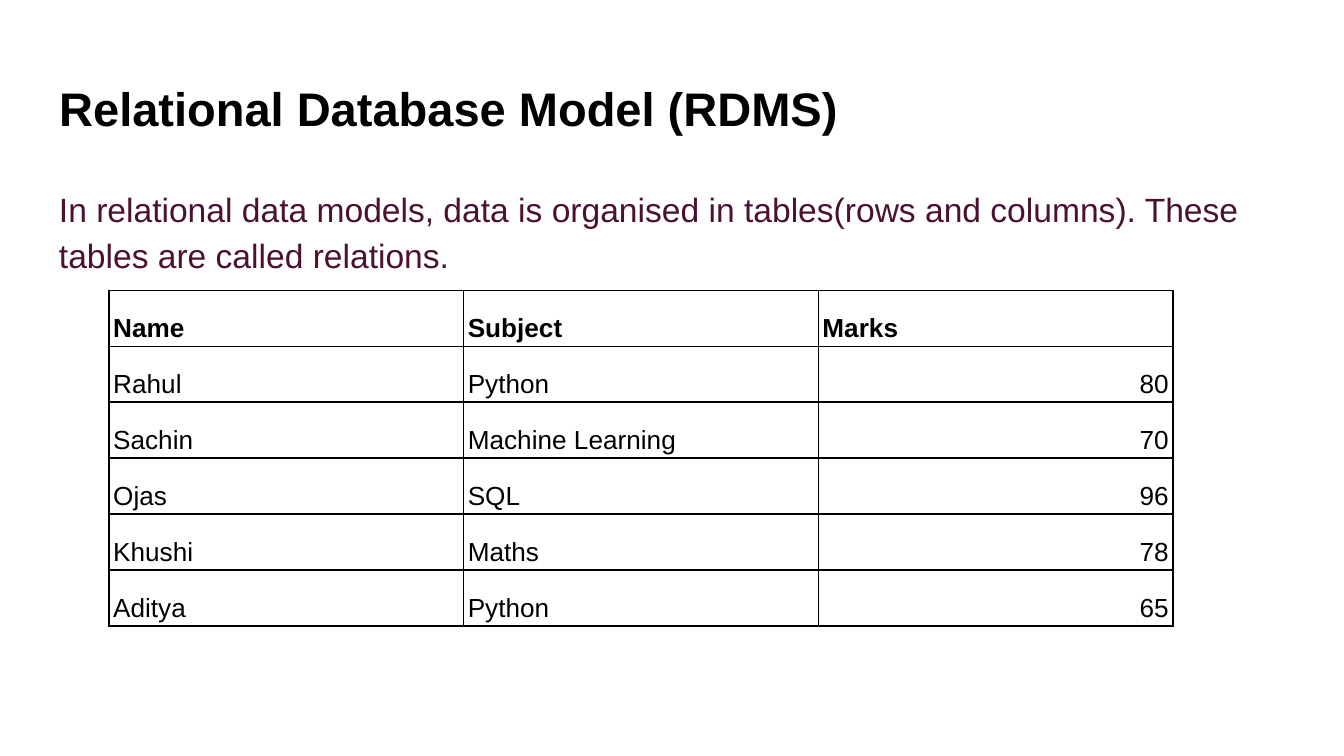
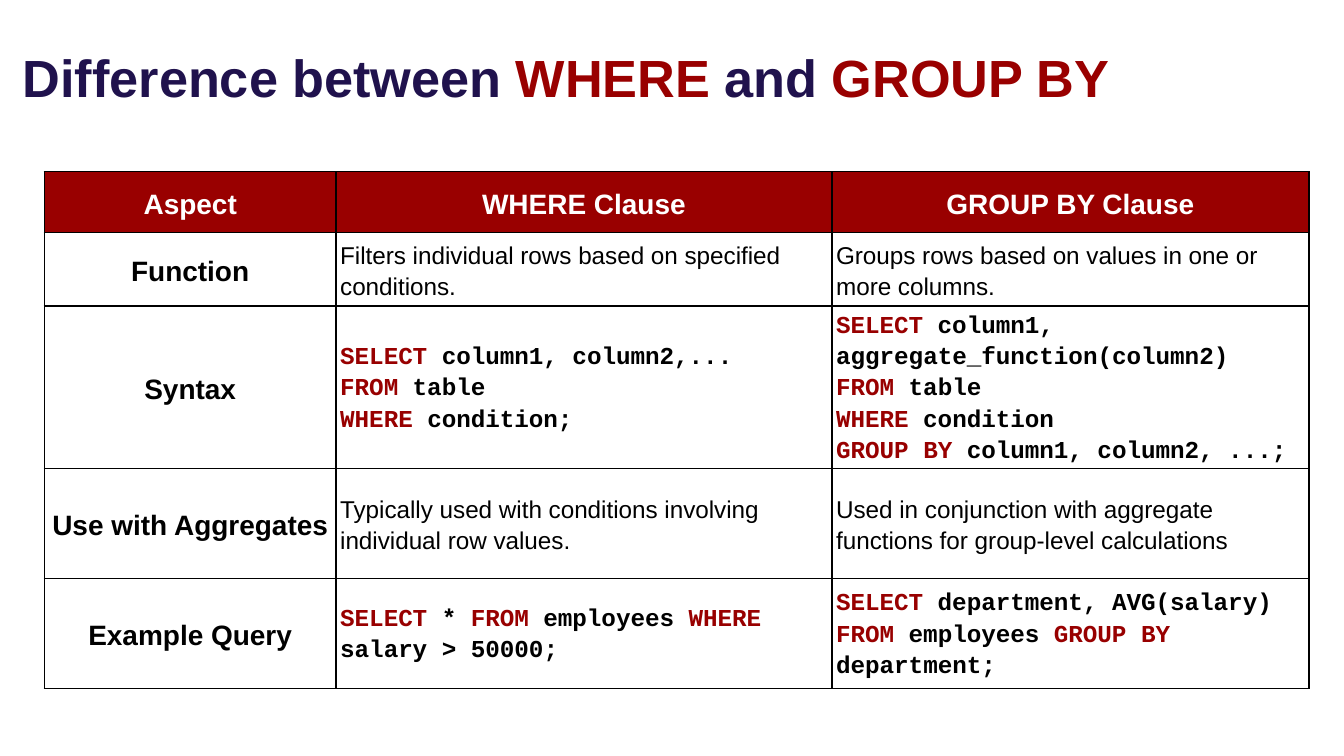
from dataclasses import dataclass, replace

from lxml import etree
from pptx import Presentation
from pptx.dml.color import RGBColor
from pptx.enum import text
from pptx.oxml import ns
from pptx.util import Pt

BLACK, WHITE, RED, CODE_RED = "000000", "FFFFFF", "990000", "980000"
NAVY, PLUM = "20124D", "4C1130"
LEFT, CENTER, RIGHT = text.PP_ALIGN.LEFT, text.PP_ALIGN.CENTER, text.PP_ALIGN.RIGHT
TOP, MIDDLE, BOTTOM = text.MSO_ANCHOR.TOP, text.MSO_ANCHOR.MIDDLE, text.MSO_ANCHOR.BOTTOM
TITLE_ONLY = 5
BOX_INSET = 7.2
BORDER_WIDTH = 0.94


@dataclass(frozen=True)
class Style:
    size: float
    color: str = BLACK
    bold: bool = False
    font: str = "Arial"
    accent: str = RED
    align: text.PP_ALIGN = LEFT
    spacing: float = 1.15


@dataclass(frozen=True)
class Cell:
    text: str
    style: Style
    fill: str | None = None


@dataclass(frozen=True)
class Grid:
    left: float
    top: float
    widths: list[float]
    heights: list[float]
    anchor: text.MSO_ANCHOR
    rows: list[list[Cell]]


def rgb(value: str) -> RGBColor:
    return RGBColor.from_string(value)


def write(tf, content: str, style: Style) -> None:
    """Fill a text frame; parts between bars take the accent colour."""
    for i, line in enumerate(content.split("\n")):
        p = tf.add_paragraph() if i else tf.paragraphs[0]
        p.alignment = style.align
        p.line_spacing = style.spacing
        for j, part in enumerate(line.split("|")):
            if not part:
                continue
            r = p.add_run()
            r.text = part
            r.font.name = style.font
            r.font.size = Pt(style.size)
            r.font.bold = style.bold
            r.font.color.rgb = rgb(style.accent if j % 2 else style.color)


def write_box(sp, box: tuple, content: str, style: Style, anchor) -> None:
    sp.left, sp.top, sp.width, sp.height = (Pt(v) for v in box)
    tf = sp.text_frame
    tf.word_wrap = True
    tf.auto_size = text.MSO_AUTO_SIZE.NONE
    tf.vertical_anchor = anchor
    tf.margin_left = tf.margin_right = tf.margin_top = tf.margin_bottom = Pt(BOX_INSET)
    write(tf, content, style)


def add_titled_slide(prs, title: str, box: tuple, style: Style):
    slide = prs.slides.add_slide(prs.slide_layouts[TITLE_ONLY])
    write_box(slide.shapes.title, box, title, style, MIDDLE)
    return slide


def add_borders(cell) -> None:
    tc_pr = cell._tc.get_or_add_tcPr()
    for side in ("lnL", "lnR", "lnT", "lnB"):
        line = etree.SubElement(tc_pr, ns.qn(f"a:{side}"), w=str(Pt(BORDER_WIDTH)))
        fill = etree.SubElement(line, ns.qn("a:solidFill"))
        etree.SubElement(fill, ns.qn("a:srgbClr"), val=BLACK)


def add_grid(slide, grid: Grid) -> None:
    frame = slide.shapes.add_table(
        len(grid.heights), len(grid.widths), Pt(grid.left), Pt(grid.top),
        Pt(sum(grid.widths)), Pt(sum(grid.heights)))
    table = frame.table
    table.first_row = table.horz_banding = False
    for column, width in zip(table.columns, grid.widths):
        column.width = Pt(width)
    for row, height, items in zip(table.rows, grid.heights, grid.rows):
        row.height = Pt(height)
        for cell, item in zip(row.cells, items):
            cell.margin_left = cell.margin_right = Pt(2.25)
            cell.margin_top = cell.margin_bottom = Pt(1.5)
            cell.vertical_anchor = grid.anchor
            add_borders(cell)
            if item.fill:
                cell.fill.solid()
                cell.fill.fore_color.rgb = rgb(item.fill)
            else:
                cell.fill.background()
            write(cell.text_frame, item.text, item.style)


def add_relational_model(prs) -> None:
    slide = add_titled_slide(prs, "Relational Database Model (RDMS)", (24.5, 35, 671, 45.4),
                             Style(25.2, bold=True, spacing=1))
    intro = ("In relational data models, data is organised in tables(rows and columns). "
             "These tables are called relations.")
    write_box(slide.shapes.add_textbox(0, 0, 0, 0), (24.5, 90.7, 671, 269.3),
              intro, Style(18, PLUM), TOP)

    plain = Style(14)
    head = replace(plain, bold=True)
    number = replace(plain, align=RIGHT)
    marks = [("Rahul", "Python", "80"), ("Sachin", "Machine Learning", "70"),
             ("Ojas", "SQL", "96"), ("Khushi", "Maths", "78"), ("Aditya", "Python", "65")]
    rows = [[Cell(name, head) for name in ("Name", "Subject", "Marks")]]
    rows += [[Cell(name, plain), Cell(subject, plain), Cell(mark, number)]
             for name, subject, mark in marks]
    add_grid(slide, Grid(58.4, 155.5, [190] * 3, [30] * len(rows), BOTTOM, rows))


def add_clause_comparison(prs) -> None:
    slide = add_titled_slide(prs, "Difference between |WHERE| and |GROUP BY|",
                             (5, 15, 677.5, 52),
                             Style(28, NAVY, bold=True, spacing=1))
    aspect = Style(15, bold=True, align=CENTER)
    head = replace(aspect, color=WHITE)
    prose = Style(13)
    code = Style(13, bold=True, font="Courier New", accent=CODE_RED)
    comparison = [
        ("Function", prose,
         "Filters individual rows based on specified conditions.",
         "Groups rows based on values in one or more columns."),
        ("Syntax", code,
         "|SELECT| column1, column2,...\n|FROM| table\n|WHERE| condition;",
         "|SELECT| column1, aggregate_function(column2)\n|FROM| table\n"
         "|WHERE| condition\n|GROUP BY| column1, column2, ...;"),
        ("Use with Aggregates", prose,
         "Typically used with conditions involving individual row values.",
         "Used in conjunction with aggregate functions for group-level calculations"),
        ("Example Query", code,
         "|SELECT| * |FROM| employees |WHERE| salary > 50000;",
         "|SELECT| department, AVG(salary) |FROM| employees |GROUP BY| department;"),
    ]
    rows = [[Cell(name, head, RED) for name in ("Aspect", "WHERE Clause", "GROUP BY Clause")]]
    rows += [[Cell(name, aspect), Cell(where, style), Cell(group, style)]
             for name, style, where, group in comparison]
    add_grid(slide, Grid(23.8, 92, [156.2, 265.7, 255.5], [32.6, 39.4, 59, 59, 59],
                         MIDDLE, rows))


def main() -> None:
    prs = Presentation()
    prs.slide_width, prs.slide_height = Pt(720), Pt(405)
    add_relational_model(prs)
    add_clause_comparison(prs)
    prs.save("out.pptx")


if __name__ == "__main__":
    main()
